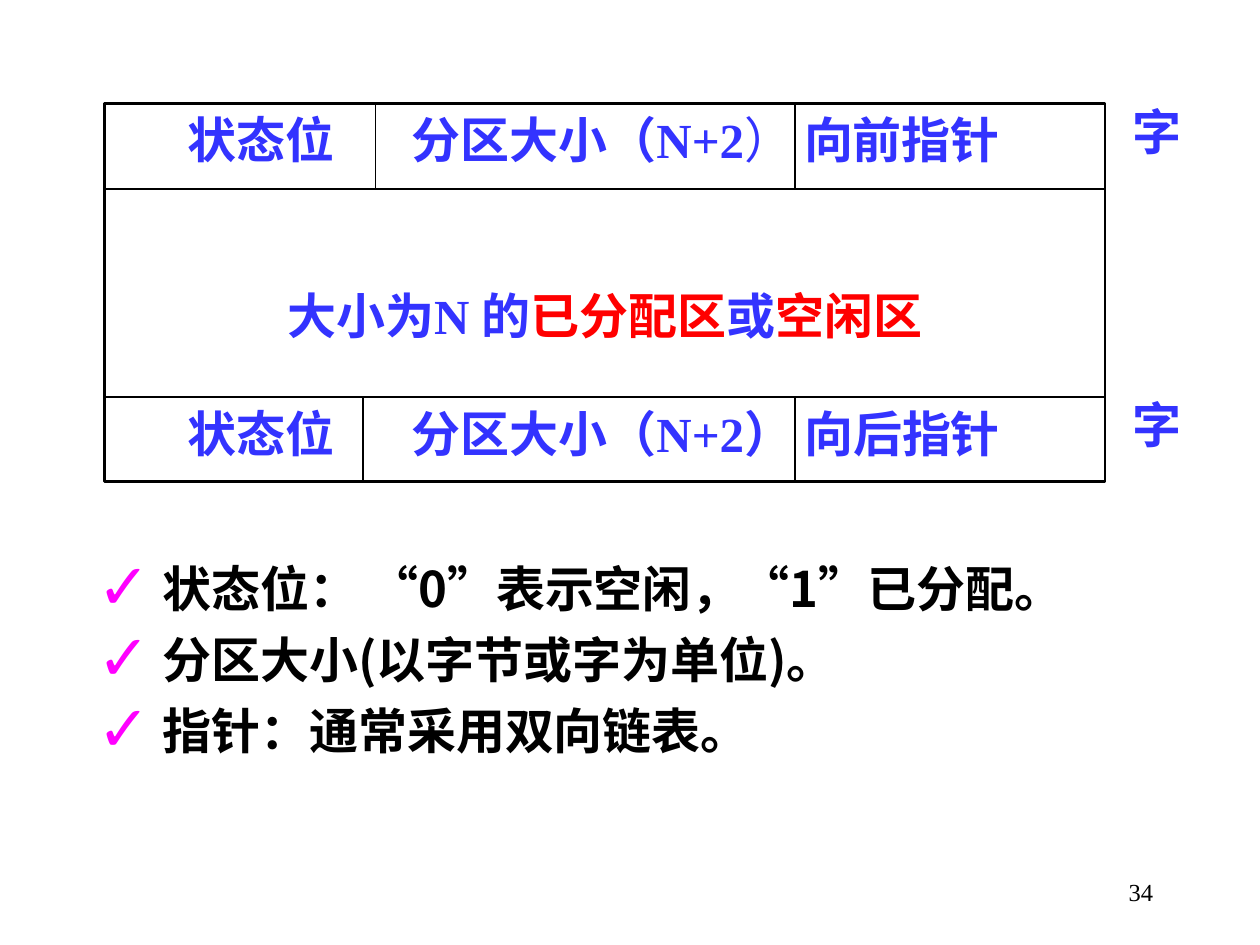
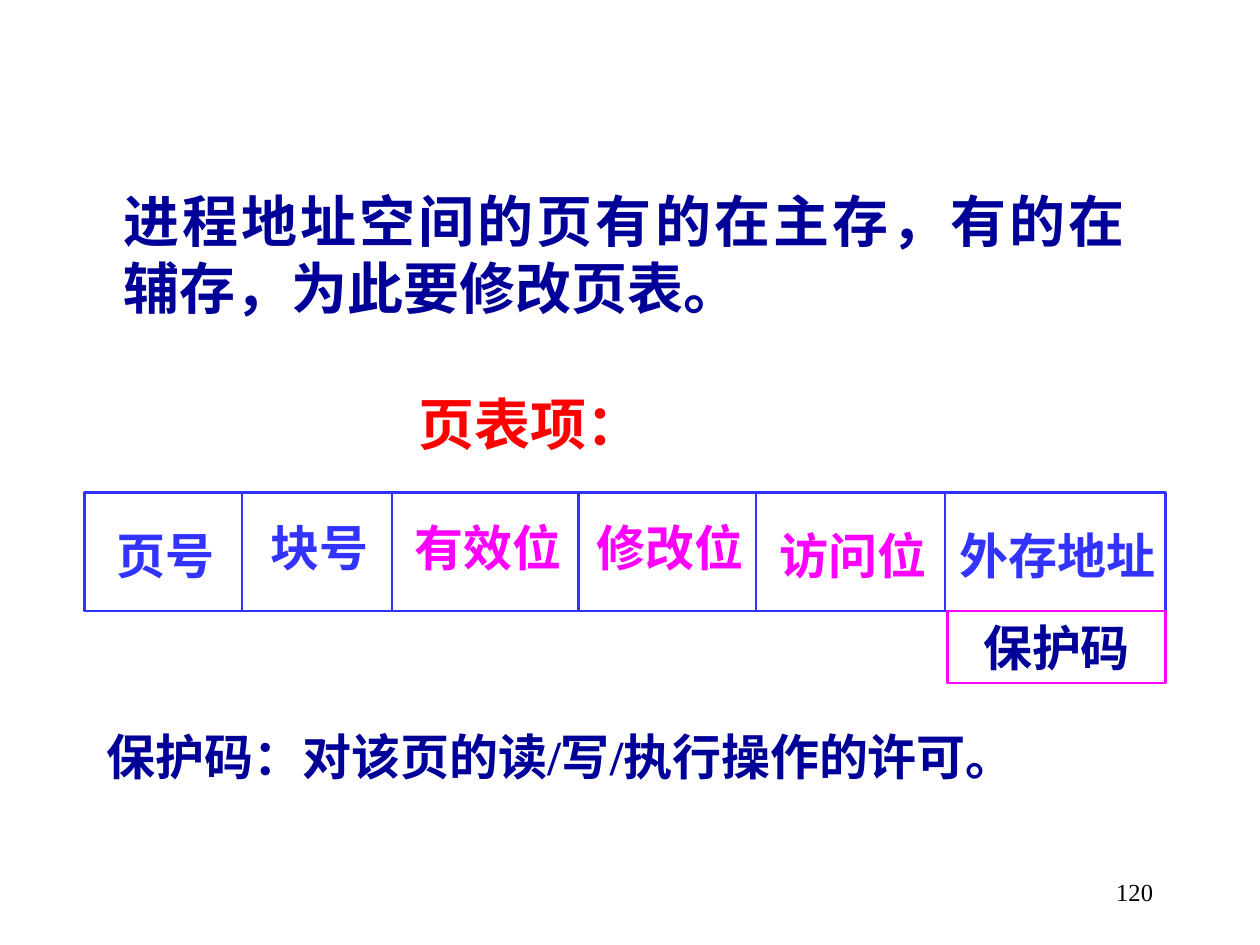
import dataclasses

import lxml.etree
import pptx
import pptx.dml.color
import pptx.enum.shapes
import pptx.enum.text
import pptx.oxml.ns
import pptx.util

Inches = pptx.util.Inches
Pt = pptx.util.Pt
Align = pptx.enum.text.PP_ALIGN
qn = pptx.oxml.ns.qn


@dataclasses.dataclass(frozen=True)
class Theme:
    black: str = "000000"
    white: str = "FFFFFF"
    blue: str = "3333FF"
    navy: str = "000099"
    red: str = "FF0000"
    magenta: str = "FF00FF"
    serif: str = "Times New Roman"
    sans: str = "Noto Sans CJK SC"
    heading_size: int = 32
    label_size: int = 28
    number_size: int = 14
    line_factor: float = 1.2
    thick: float = 1.5
    thin: float = 0.75


THEME = Theme()


def rgb(value):
    return pptx.dml.color.RGBColor.from_string(value)


def add_child(parent, tag, **attributes):
    return lxml.etree.SubElement(parent, qn(tag), attributes)


def format_run(run, color, size, font_name, bold):
    run.font.size = Pt(size)
    run.font.bold = bold
    run.font.color.rgb = rgb(color)
    run.font.name = font_name
    add_child(run.font._element, "a:ea", typeface=THEME.sans)


def format_paragraph(paragraph, color, size=THEME.label_size, font_name=THEME.serif,
                     bold=True, alignment=Align.CENTER, space_before=0):
    paragraph.alignment = alignment
    paragraph.line_spacing = Pt(size * THEME.line_factor)
    paragraph.space_before = Pt(space_before)
    for run in paragraph.runs:
        format_run(run, color, size, font_name, bold)


def prepare_frame(shape, anchor=pptx.enum.text.MSO_ANCHOR.TOP):
    text_frame = shape.text_frame
    text_frame.word_wrap = True
    text_frame.auto_size = pptx.enum.text.MSO_AUTO_SIZE.NONE
    text_frame.vertical_anchor = anchor
    return text_frame


def place(shape, left, top, width, height):
    shape.left, shape.top = Inches(left), Inches(top)
    shape.width, shape.height = Inches(width), Inches(height)


def add_label(slide, text, left, top, width, color, height=0.57, **style):
    shape = slide.shapes.add_textbox(Inches(left), Inches(top), Inches(width), Inches(height))
    text_frame = prepare_frame(shape)
    text_frame.text = text
    format_paragraph(text_frame.paragraphs[0], color, **style)
    return shape


def add_box(slide, left, top, width, height, line_color, fill=None):
    shape = slide.shapes.add_shape(pptx.enum.shapes.MSO_SHAPE.RECTANGLE, Inches(left),
                                   Inches(top), Inches(width), Inches(height))
    shape.shadow.inherit = False
    if fill:
        shape.fill.solid()
        shape.fill.fore_color.rgb = rgb(fill)
    else:
        shape.fill.background()
    shape.line.color.rgb = rgb(line_color)
    shape.line.width = Pt(THEME.thick)
    return shape


def add_line(slide, x1, y1, x2, y2, color, width):
    line = slide.shapes.add_connector(pptx.enum.shapes.MSO_CONNECTOR.STRAIGHT, Inches(x1),
                                      Inches(y1), Inches(x2), Inches(y2))
    line.line.color.rgb = rgb(color)
    line.line.width = Pt(width)
    add_child(line._element.spPr, "a:effectLst")


def add_page_number(slide, number):
    label = add_label(slide, number, 7.17, 6.83, 2.08, THEME.black, height=0.5,
                      size=THEME.number_size, bold=False, alignment=Align.RIGHT)
    label.text_frame.vertical_anchor = pptx.enum.text.MSO_ANCHOR.MIDDLE


def set_tabs(paragraph, positions):
    tab_list = add_child(paragraph._p.get_or_add_pPr(), "a:tabLst")
    for position in positions:
        add_child(tab_list, "a:tab", pos=str(Inches(position)), algn="l")


def set_check_bullet(paragraph, indent):
    properties = paragraph._p.get_or_add_pPr()
    properties.set("marL", str(Inches(indent)))
    properties.set("indent", str(-Inches(indent)))
    color = add_child(properties, "a:buClr")
    add_child(color, "a:srgbClr", val=THEME.magenta)
    add_child(properties, "a:buSzPct", val="130000")
    add_child(properties, "a:buChar", char="✓")


def add_check_list(slide, items, left, top, width, height):
    body = slide.placeholders[1]
    place(body, left, top, width, height)
    text_frame = prepare_frame(body)
    text_frame.text = "\n".join(items)
    for index, paragraph in enumerate(text_frame.paragraphs):
        set_check_bullet(paragraph, 0.52)
        format_paragraph(paragraph, THEME.black, font_name=THEME.sans,
                         alignment=Align.LEFT, space_before=7 if index else 0)


def fill_partition(shape):
    line_height = THEME.label_size * THEME.line_factor
    text_frame = prepare_frame(shape)
    text_frame.text = "\n".join(["\t状态位\t分区大小（N+2", "大小为N 的",
                                 "\t状态位\t分区大小（N+2） 向后指针"])
    header, content, footer = text_frame.paragraphs
    for paragraph in (header, footer):
        set_tabs(paragraph, [0.56, 2.34])
    extra_runs = [
        (header, "） ", THEME.blue, False),
        (header, "向前指针", THEME.blue, True),
        (content, "已分配区", THEME.red, True),
        (content, "或", THEME.blue, True),
        (content, "空闲区", THEME.red, True),
    ]
    format_paragraph(header, THEME.blue, alignment=Align.LEFT)
    format_paragraph(content, THEME.blue, space_before=2 * line_height)
    format_paragraph(footer, THEME.blue, alignment=Align.LEFT, space_before=line_height)
    for paragraph, text, color, bold in extra_runs:
        run = paragraph.add_run()
        run.text = text
        format_run(run, color, THEME.label_size, THEME.serif, bold)


def build_partition_slide(presentation):
    slide = presentation.slides.add_slide(presentation.slide_layouts[1])
    title = slide.shapes.title._element
    title.getparent().remove(title)
    left, top, width, height = 0.83, 0.82, 7.94, 3
    header_bottom, footer_top = 1.5, 3.15
    fill_partition(add_box(slide, left, top, width, height, THEME.black, THEME.white))
    for y in (header_bottom, footer_top):
        add_line(slide, left, y, left + width, y, THEME.black, THEME.thick)
    for x, y1, y2 in [(2.98, top, header_bottom), (6.31, top, header_bottom),
                      (2.88, footer_top, top + height), (6.31, footer_top, top + height)]:
        add_line(slide, x, y1, x, y2, THEME.black, THEME.thin)
    for y in (0.76, 3.08):
        add_label(slide, "字", 8.87, y, 0.62, THEME.blue)
    add_check_list(slide, ["状态位： “0”表示空闲，“1”已分配。",
                           "分区大小(以字节或字为单位)。",
                           "指针：通常采用双向链表。"], 0.67, 4.38, 8.83, 1.7)
    add_page_number(slide, "34")


def add_page_entry(slide, fields, edges, top, height):
    add_box(slide, edges[0], top, edges[-1] - edges[0], height, THEME.blue, THEME.white)
    for x in edges[1:-1]:
        add_line(slide, x, top, x, top + height, THEME.blue, THEME.thick)
    for (text, label_top, color), left, right in zip(fields, edges, edges[1:]):
        add_label(slide, text, left - 0.08, label_top, right - left + 0.2, color)


def build_page_table_slide(presentation):
    slide = presentation.slides.add_slide(presentation.slide_layouts[5])
    title = slide.shapes.title
    place(title, 3.03, 3.04, 2.36, 0.64)
    text_frame = prepare_frame(title)
    text_frame.text = "页表项："
    format_paragraph(text_frame.paragraphs[0], THEME.red, size=THEME.heading_size,
                     font_name=THEME.sans)

    lead = add_label(slide, "进程地址空间的页有的在主存，有的在辅存，为此要修改页表。",
                     0.98, 1.47, 7.95, THEME.navy, height=1.09, size=THEME.heading_size,
                     font_name=THEME.sans, alignment=Align.JUSTIFY).text_frame
    lead.margin_left = lead.margin_right = 0
    lead.margin_top = lead.margin_bottom = Inches(0.01)

    fields = [("页号", 4.12, THEME.blue), ("块号", 4.06, THEME.blue),
              ("有效位", 4.06, THEME.magenta), ("修改位", 4.06, THEME.magenta),
              ("访问位", 4.12, THEME.magenta), ("外存地址", 4.12, THEME.blue)]
    add_page_entry(slide, fields, [0.67, 1.92, 3.11, 4.59, 6, 7.5, 9.25], 3.91, 0.94)

    protection = add_box(slide, 7.52, 4.85, 1.73, 0.57, THEME.magenta)
    text_frame = prepare_frame(protection)
    text_frame.text = "保护码"
    format_paragraph(text_frame.paragraphs[0], THEME.navy)
    add_label(slide, "保护码：对该页的读/写/执行操作的许可。", 0.75, 5.72, 8.98,
              THEME.navy, alignment=Align.LEFT)
    add_page_number(slide, "120")


def main():
    presentation = pptx.Presentation()
    presentation.slide_width = Inches(10)
    presentation.slide_height = Inches(7.5)
    build_partition_slide(presentation)
    build_page_table_slide(presentation)
    presentation.save("out.pptx")


if __name__ == "__main__":
    main()
